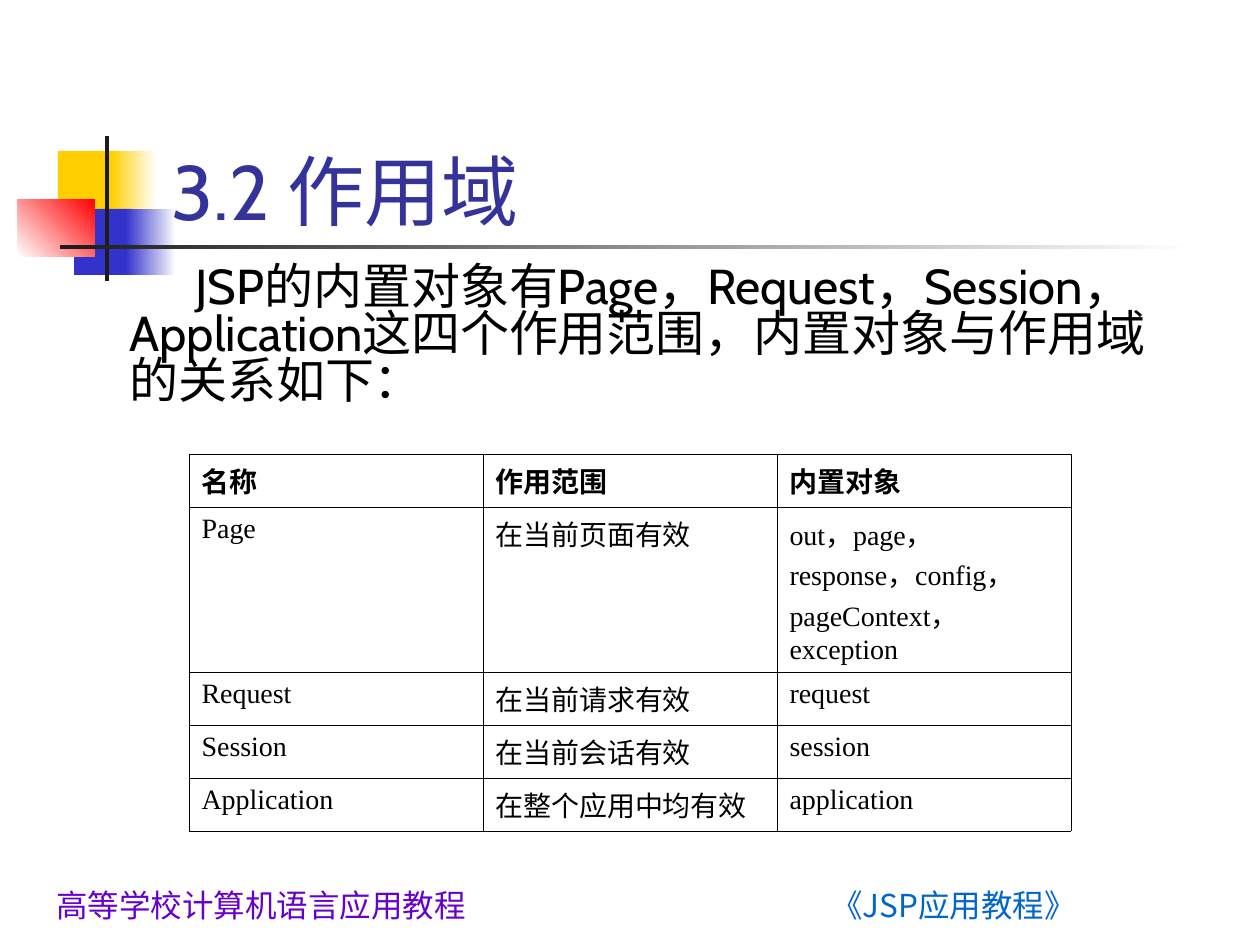
from lxml.etree import SubElement
from pptx import Presentation
from pptx.dml.color import RGBColor
from pptx.enum.shapes import MSO_SHAPE
from pptx.enum.text import MSO_ANCHOR, MSO_AUTO_SIZE, PP_ALIGN
from pptx.oxml.ns import qn
from pptx.util import Emu, Pt

EMU_PER_PX = 914400 / 126

WHITE = RGBColor(0xFF, 0xFF, 0xFF)
BLACK = RGBColor(0x00, 0x00, 0x00)
CHARCOAL = RGBColor(0x1C, 0x1C, 0x1C)
YELLOW = RGBColor(0xFF, 0xCF, 0x01)
BLUE = RGBColor(0x33, 0x33, 0xCC)
RED = RGBColor(0xFF, 0x00, 0x00)
TITLE_BLUE = RGBColor(0x33, 0x33, 0x99)
FOOTER_BLUE = RGBColor(0x00, 0x66, 0xCC)
FOOTER_PURPLE = RGBColor(0x66, 0x00, 0xCC)

HEADING_FONT = "Cabin"
CHINESE_FONT = "Noto Sans CJK SC"
TABLE_FONT = "Times New Roman"

SCOPES = [
    ("名称", "作用范围", "内置对象"),
    ("Page", "在当前页面有效", "out，page，response，config，pageContext，exception"),
    ("Request", "在当前请求有效", "request"),
    ("Session", "在当前会话有效", "session"),
    ("Application", "在整个应用中均有效", "application"),
]


def px(length):
    return Emu(round(length * EMU_PER_PX))


class SlideBuilder:
    """Holds the current slide and draws each kind of element in its style."""

    def __init__(self, slide):
        self.slide = slide
        self.shapes = slide.shapes

    def add_run(self, paragraph, text, size, font_name, color, bold=False):
        run = paragraph.add_run()
        run.text = text
        font = run.font
        font.size, font.name, font.bold = Pt(size), font_name, bold
        font.color.rgb = color
        SubElement(font._element, qn("a:ea"), typeface=CHINESE_FONT)

    def block(self, left, top, width, height, start, end=None, angle=0):
        """Draw a plain rectangle, or a gradient one when end is given."""
        shape = self.shapes.add_shape(
            MSO_SHAPE.RECTANGLE, px(left), px(top), px(width), px(height))
        shape.shadow.inherit = False
        shape.line.fill.background()
        if end is None:
            shape.fill.solid()
            shape.fill.fore_color.rgb = start
            return
        shape.fill.gradient()
        shape.fill.gradient_angle = angle
        for stop, color in zip(shape.fill.gradient_stops, (start, end)):
            stop.color.rgb = color

    def title(self, left, top, width, height, text):
        title = self.shapes.title
        title.left, title.top = px(left), px(top)
        title.width, title.height = px(width), px(height)
        self.shapes._spTree.append(title._element)  # in front of the blocks
        frame = title.text_frame
        frame.auto_size = MSO_AUTO_SIZE.NONE
        frame.vertical_anchor = MSO_ANCHOR.BOTTOM
        paragraph = frame.paragraphs[0]
        paragraph.alignment = PP_ALIGN.LEFT
        self.add_run(paragraph, text, 44, HEADING_FONT, TITLE_BLUE)

    def text(self, left, top, width, height, text, size, font_name, color, wrap=True):
        box = self.shapes.add_textbox(px(left), px(top), px(width), px(height))
        box.text_frame.word_wrap = wrap
        paragraph = box.text_frame.paragraphs[0]
        self.add_run(paragraph, text, size, font_name, color)
        return paragraph

    def table(self, left, top, column_width, row_heights, rows):
        columns = len(rows[0])
        table = self.shapes.add_table(
            len(rows), columns, px(left), px(top),
            px(column_width * columns), px(sum(row_heights))).table
        table.first_row = table.horz_banding = False
        for column in table.columns:
            column.width = px(column_width)
        for row_index, (row, height) in enumerate(zip(rows, row_heights)):
            table.rows[row_index].height = px(height)
            for column_index, text in enumerate(row):
                cell = table.cell(row_index, column_index)
                self.add_run(cell.text_frame.paragraphs[0], text, 16,
                             TABLE_FONT, BLACK, bold=row_index == 0)
                self.border(cell)
                cell.fill.background()

    def border(self, cell):
        properties = cell._tc.get_or_add_tcPr()
        for side in ("lnL", "lnR", "lnT", "lnB"):
            line = SubElement(properties, qn(f"a:{side}"), w=str(Pt(0.45)))
            fill = SubElement(line, qn("a:solidFill"))
            SubElement(fill, qn("a:srgbClr"), val=str(BLACK))


def main():
    presentation = Presentation()
    presentation.slide_width, presentation.slide_height = px(1260), px(945)
    slide = presentation.slides.add_slide(presentation.slide_layouts[5])
    builder = SlideBuilder(slide)

    builder.block(58, 151, 60, 65, YELLOW)
    builder.block(111, 151, 45, 65, YELLOW, WHITE)
    builder.block(74, 209, 58, 66, BLUE)
    builder.block(126, 209, 50, 66, BLUE, WHITE)
    builder.block(18, 199, 77, 58, WHITE, RED, angle=45)
    builder.block(105, 136, 4, 145, CHARCOAL)
    builder.block(60, 245, 1134, 4, CHARCOAL, WHITE)

    builder.text(819, 880, 441, 35, "《JSP应用教程》", 18,
                 CHINESE_FONT, FOOTER_BLUE, wrap=False)
    builder.text(44, 880, 635, 65, "高等学校计算机语言应用教程", 18,
                 CHINESE_FONT, FOOTER_PURPLE, wrap=False)

    builder.title(159, 84, 1074, 158, "3.2 作用域")
    introduction = builder.text(
        117, 261, 1071, 621,
        "JSP的内置对象有Page，Request，Session，Application这四个作用范围，"
        "内置对象与作用域的关系如下：",
        28, HEADING_FONT, BLACK)
    introduction.line_spacing = 0.8
    introduction._p.get_or_add_pPr().set("indent", str(px(66)))

    builder.table(189, 454, 294, (53, 165, 53, 53, 53), SCOPES)
    presentation.save("out.pptx")


if __name__ == "__main__":
    main()
